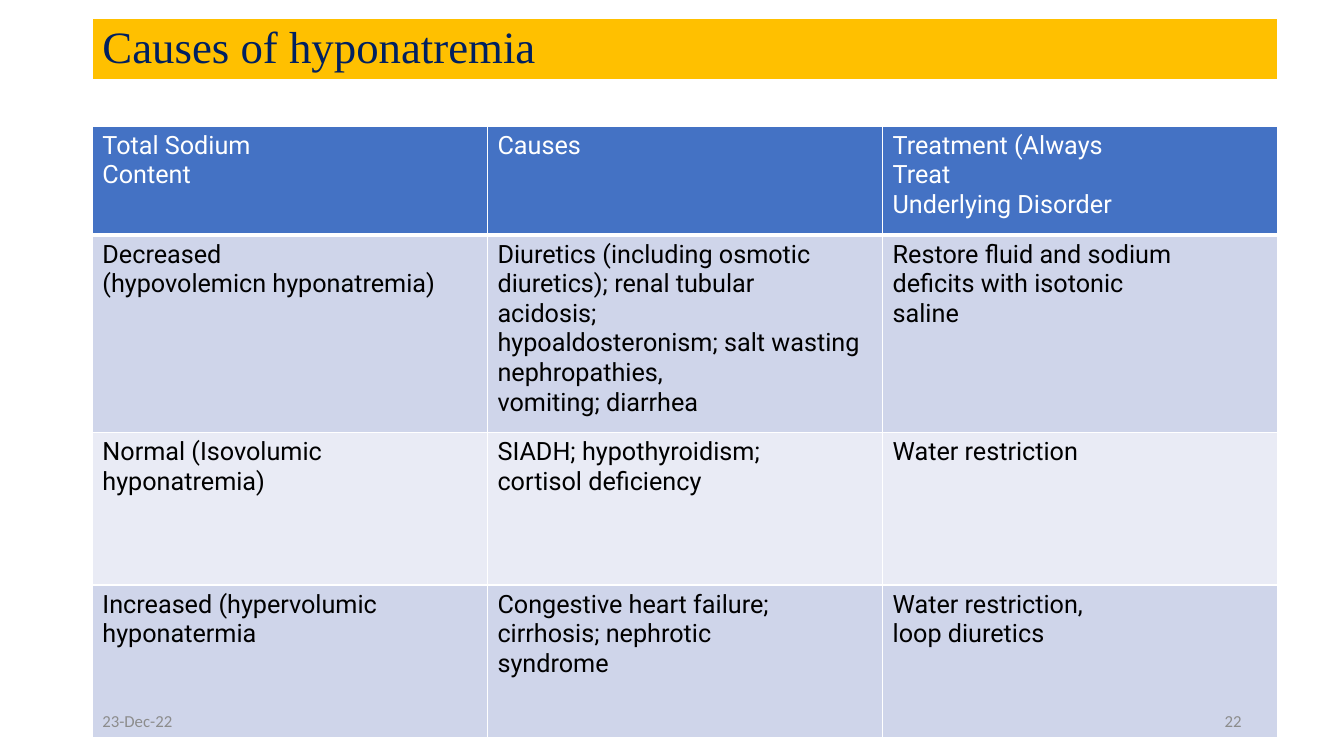
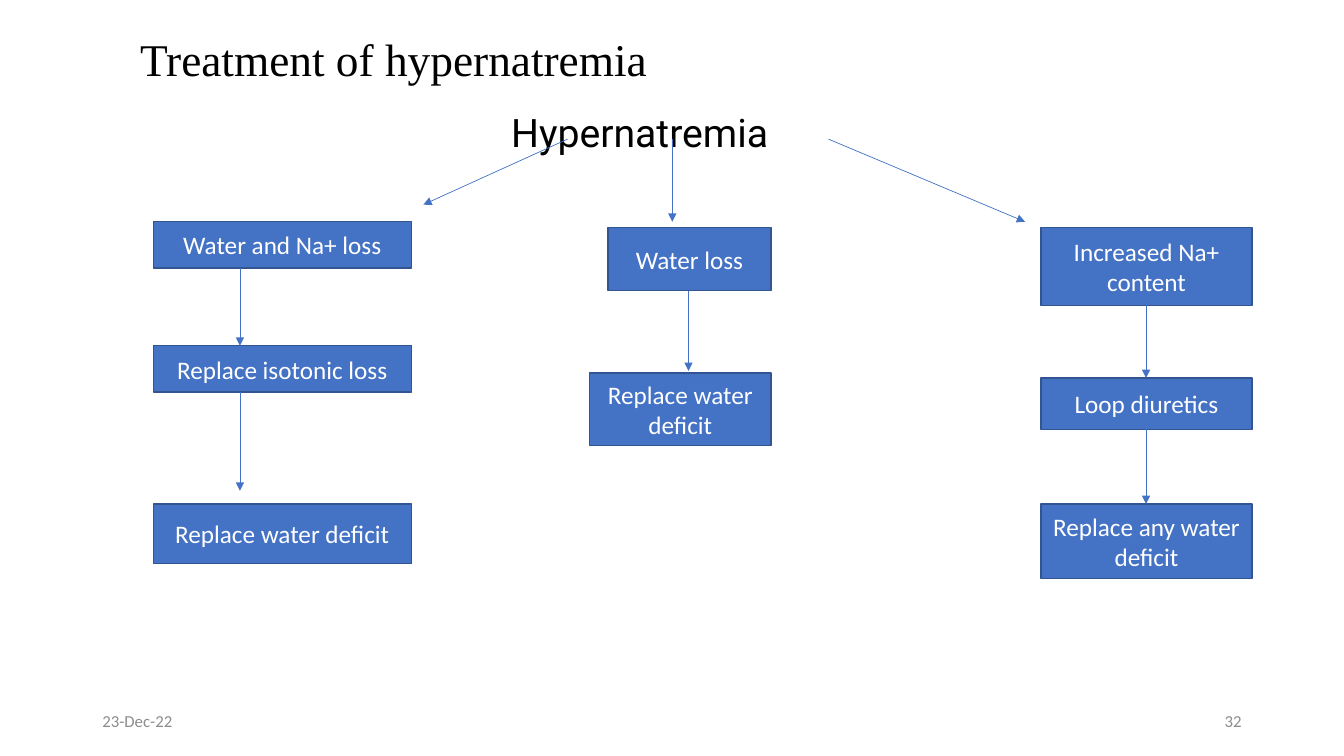
from dataclasses import dataclass

from lxml.etree import SubElement
from pptx import Presentation
from pptx.dml.color import RGBColor
from pptx.enum.shapes import MSO_CONNECTOR as CONN, MSO_SHAPE as SHAPE
from pptx.enum.text import MSO_ANCHOR as ANCHOR, PP_ALIGN as ALIGN
from pptx.oxml.ns import qn
from pptx.slide import Slide
from pptx.table import Table, _Cell as Cell
from pptx.text.text import TextFrame
from pptx.util import Pt

WHITE = RGBColor(0xFF, 0xFF, 0xFF)
BLACK = RGBColor(0, 0, 0)
NAVY = RGBColor(0x00, 0x20, 0x60)
GOLD = RGBColor(0xFF, 0xC0, 0x00)
BLUE = RGBColor(0x44, 0x72, 0xC4)
DARK_BLUE = RGBColor(0x32, 0x54, 0x91)
BAND_DARK = RGBColor(0xCF, 0xD5, 0xEA)
BAND_LIGHT = RGBColor(0xE9, 0xEB, 0xF5)
GREY = RGBColor(0x8C, 0x8C, 0x8C)

LEFT = 66
TABLE_WIDTH = 846.72
DATE = "23-Dec-22"


@dataclass(frozen=True)
class Style:
    font: str
    size: float
    color: RGBColor
    align: ALIGN = ALIGN.LEFT


BAND_TITLE = Style("Times New Roman", 32, NAVY)
PLAIN_TITLE = Style("Times New Roman", 32.4, BLACK)
TOPIC = Style("Roboto", 28, BLACK)
HEADER = Style("Roboto", 18, WHITE)
BODY = Style("Roboto", 18, BLACK)
STEP = Style("Calibri", 18, WHITE, ALIGN.CENTER)
FOOTER_DATE = Style("Calibri", 12, GREY)
FOOTER_NUMBER = Style("Calibri", 12, GREY, ALIGN.RIGHT)


@dataclass(frozen=True)
class Step:
    """One box of a branch; gap is the space between arrow tip and box."""
    text: str
    top: float
    width: float
    height: float
    gap: float = 0


@dataclass(frozen=True)
class Branch:
    """Boxes sharing a right edge, joined by arrows along one axis."""
    right: float
    axis: float
    steps: tuple[Step, ...]


@dataclass(frozen=True)
class Arrow:
    x1: float
    y1: float
    x2: float
    y2: float


CAUSES = (
    ("Total Sodium\nContent",
     "Causes",
     "Treatment (Always\nTreat\nUnderlying Disorder"),
    ("Decreased\n(hypovolemicn hyponatremia)",
     "Diuretics (including osmotic\ndiuretics); renal tubular\nacidosis;\n"
     "hypoaldosteronism; salt wasting\nnephropathies,\nvomiting; diarrhea",
     "Restore fluid and sodium\ndeficits with isotonic\nsaline"),
    ("Normal (Isovolumic hyponatremia)",
     "SIADH; hypothyroidism;\ncortisol deficiency",
     "Water restriction"),
    ("Increased (hypervolumic hyponatermia",
     "Congestive heart failure;\ncirrhosis; nephrotic\nsyndrome",
     "Water restriction,\nloop diuretics"),
)
CAUSE_HEIGHTS = (77.8, 141.1, 109, 109)

TOPIC_ARROWS = (
    Arrow(405.4, 99.4, 302.4, 146.2),
    Arrow(591.8, 99.4, 732.2, 158.4),
    Arrow(480.2, 99.4, 480.2, 158.4),
)
BRANCHES = (
    Branch(293.8, 171.4, (
        Step("Water and Na+ loss", 158.4, 184.3, 33.1),
        Step("Replace isotonic loss", 247, 184.3, 33.1),
        Step("Replace water deficit", 360, 184.3, 42.5, gap=9.4),
    )),
    Branch(550.8, 491.8, (
        Step("Water loss", 162.7, 116.6, 44.9),
        Step("Replace water deficit", 266.4, 129.6, 51.8, gap=1.4),
    )),
    Branch(894.2, 818.6, (
        Step("Increased Na+ content", 162.7, 150.5, 55.4),
        Step("Loop diuretics", 270, 150.5, 36.7),
        Step("Replace any water deficit", 360, 150.5, 53.3),
    )),
)


def write(tf: TextFrame, text: str, style: Style) -> None:
    tf.text = text
    for p in tf.paragraphs:
        p.alignment = style.align
        for r in p.runs:
            r.font.name = style.font
            r.font.size = Pt(style.size)
            r.font.color.rgb = style.color


def add_text(s: Slide, text: str, style: Style, left: float, top: float,
             width: float, height: float, anchor: ANCHOR = ANCHOR.MIDDLE) -> None:
    tf = s.shapes.add_textbox(Pt(left), Pt(top), Pt(width), Pt(height)).text_frame
    tf.word_wrap = True
    tf.vertical_anchor = anchor
    write(tf, text, style)


def add_footer(s: Slide, number: int) -> None:
    add_text(s, DATE, FOOTER_DATE, LEFT, 500.5, 216, 28.8)
    add_text(s, str(number), FOOTER_NUMBER, 678, 500.5, 216, 28.8)


def set_borders(cell: Cell, bottom: float) -> None:
    """White one-point borders, with a bottom border of its own width."""
    tc_pr = cell._tc.get_or_add_tcPr()
    for side, width in (("L", 1), ("R", 1), ("T", 1), ("B", bottom)):
        line = SubElement(tc_pr, qn(f"a:ln{side}"), w=str(Pt(width)))
        fill = SubElement(line, qn("a:solidFill"))
        SubElement(fill, qn("a:srgbClr"), val=str(WHITE))


def fill_cell(cell: Cell, text: str, style: Style, fill: RGBColor, bottom: float) -> None:
    set_borders(cell, bottom)
    cell.fill.solid()
    cell.fill.fore_color.rgb = fill
    write(cell.text_frame, text, style)


def add_plain_table(s: Slide, top: float, heights: tuple[float, ...], cols: int) -> Table:
    table = s.shapes.add_table(len(heights), cols, Pt(LEFT), Pt(top),
                               Pt(TABLE_WIDTH), Pt(sum(heights))).table
    table.first_row = table.horz_banding = False
    for row, height in zip(table.rows, heights):
        row.height = Pt(height)
    for column in table.columns:
        column.width = Pt(TABLE_WIDTH / cols)
    return table


def add_arrow(s: Slide, arrow: Arrow) -> None:
    line = s.shapes.add_connector(CONN.STRAIGHT, Pt(arrow.x1), Pt(arrow.y1),
                                  Pt(arrow.x2), Pt(arrow.y2))
    line.line.color.rgb = BLUE
    line.line.width = Pt(0.5)
    SubElement(line.line._get_or_add_ln(), qn("a:tailEnd"), type="triangle")
    SubElement(line._element.spPr, qn("a:effectLst"))


def add_step(s: Slide, step: Step, right: float) -> None:
    sp = s.shapes.add_shape(SHAPE.RECTANGLE, Pt(right - step.width), Pt(step.top),
                            Pt(step.width), Pt(step.height))
    sp.shadow.inherit = False
    sp.fill.solid()
    sp.fill.fore_color.rgb = BLUE
    sp.line.color.rgb = DARK_BLUE
    sp.line.width = Pt(1)
    sp.text_frame.word_wrap = True
    sp.text_frame.vertical_anchor = ANCHOR.MIDDLE
    write(sp.text_frame, step.text, STEP)


def add_branch(s: Slide, branch: Branch) -> None:
    for step in branch.steps:
        add_step(s, step, branch.right)
    for above, below in zip(branch.steps, branch.steps[1:]):
        add_arrow(s, Arrow(branch.axis, above.top + above.height,
                           branch.axis, below.top - below.gap))


def build_causes(s: Slide) -> None:
    title = add_plain_table(s, 13.2, (44.6,), 1)
    fill_cell(title.cell(0, 0), "Causes of hyponatremia", BAND_TITLE, GOLD, 3)

    table = add_plain_table(s, 90, CAUSE_HEIGHTS, len(CAUSES[0]))
    for i, row in enumerate(CAUSES):
        fill = BLUE if i == 0 else BAND_DARK if i % 2 else BAND_LIGHT
        style, bottom = (HEADER, 3) if i == 0 else (BODY, 1)
        for j, text in enumerate(row):
            fill_cell(table.cell(i, j), text, style, fill, bottom)
    add_footer(s, 22)


def build_treatment(s: Slide) -> None:
    add_text(s, "Treatment of hypernatremia", PLAIN_TITLE, 93, 16, 801, 52)
    add_text(s, "Hypernatremia", TOPIC, 358, 73.5, 300, 40, ANCHOR.TOP)
    for arrow in TOPIC_ARROWS:
        add_arrow(s, arrow)
    for branch in BRANCHES:
        add_branch(s, branch)
    add_footer(s, 32)


def main() -> None:
    prs = Presentation()
    prs.slide_width, prs.slide_height = Pt(960), Pt(540)
    for build in (build_causes, build_treatment):
        build(prs.slides.add_slide(prs.slide_layouts[6]))
    prs.save("out.pptx")


if __name__ == "__main__":
    main()
